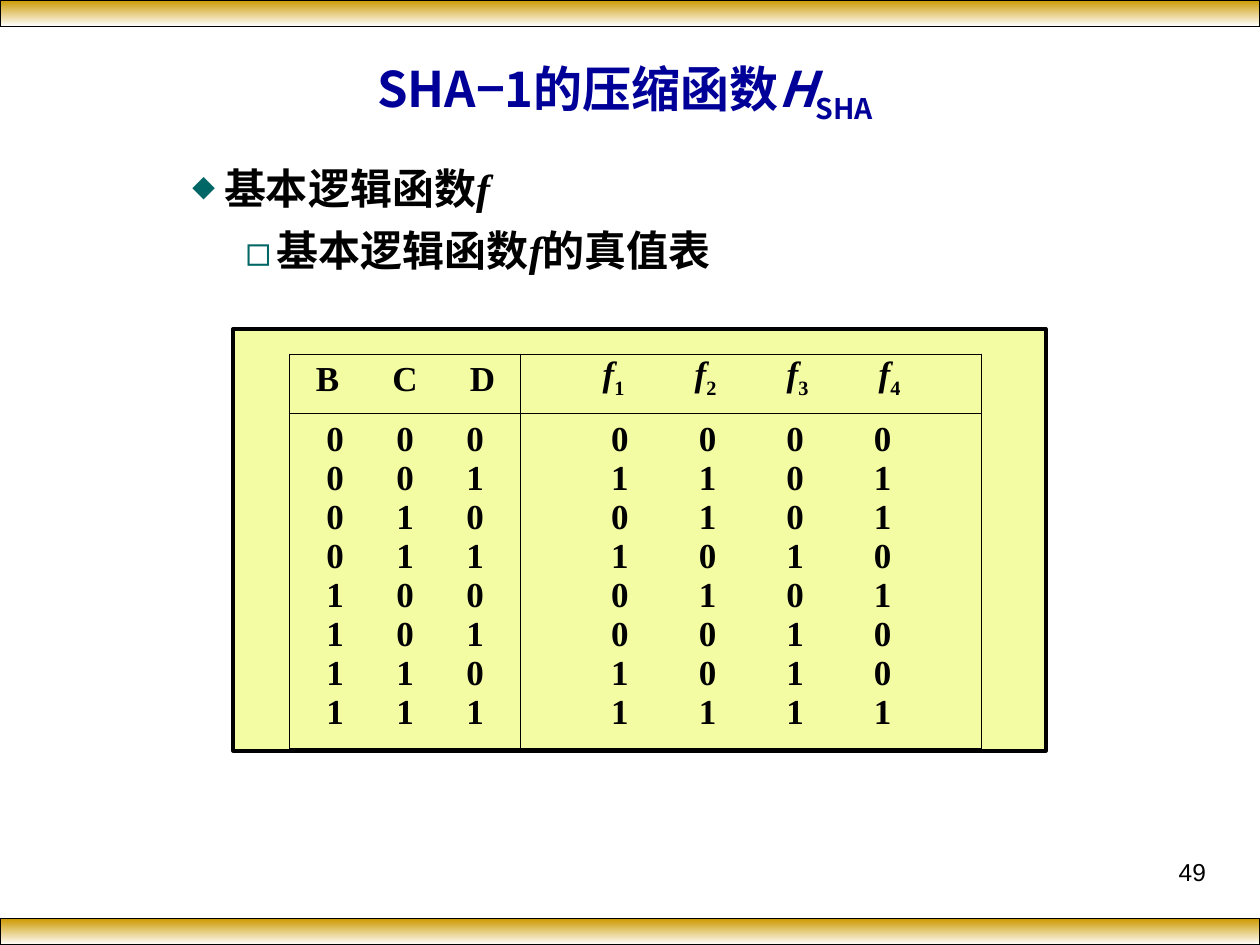
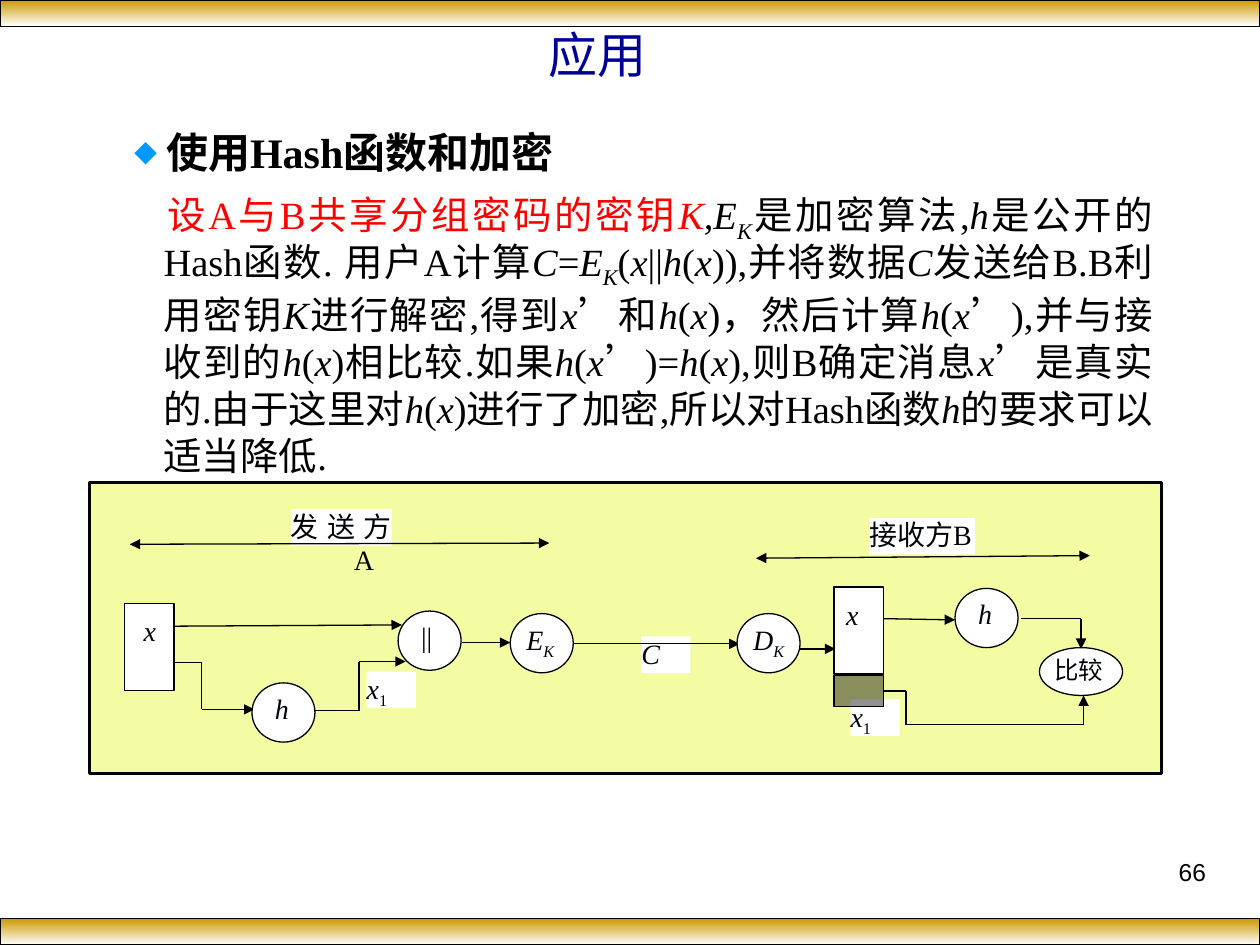
from dataclasses import dataclass
from itertools import pairwise, product

from lxml.etree import SubElement
from pptx import Presentation
from pptx.dml.color import RGBColor
from pptx.enum.shapes import MSO_CONNECTOR as Link, MSO_SHAPE as Shape
from pptx.enum.text import MSO_ANCHOR as Anchor, PP_ALIGN as Align
from pptx.oxml.ns import qn
from pptx.util import Inches, Pt


@dataclass(frozen=True)
class Theme:
    gold: str = "CC9900"
    white: str = "FFFFFF"
    black: str = "000000"
    ink: str = "000408"
    navy: str = "000099"
    teal: str = "006666"
    sky: str = "0099FF"
    red: str = "FF0000"
    panel: str = "F3FBA3"
    serif: str = "Times New Roman"
    cjk: str = "Noto Sans CJK SC"
    sans: str = "Arial"
    title: int = 28
    body: int = 24
    detail: int = 22
    table: int = 20
    label: int = 16
    small: int = 14
    hairline: float = 0.45
    thin: float = 0.75
    thick: float = 2


T = Theme()
COLS, ROWS = 100, 75
CELL = Inches(0.1)
BAND_ROWS = 2.1


def grid(*cells):
    return [round(c * CELL) for c in cells]


def rgb(code):
    return RGBColor.from_string(code)


def add_runs(p, markup, size, color=T.black, font=T.serif, bold=False):
    for i, part in enumerate(markup.split("*")):
        for j, text in enumerate(part.split("~")):
            if not text:
                continue
            r = p.add_run()
            r.text = text
            f = r.font
            f.name, f.size, f.bold, f.italic = font, Pt(size), bold, i % 2 == 1
            f.color.rgb = rgb(color)
            SubElement(r._r.rPr, qn("a:ea")).set("typeface", T.cjk)
            if j % 2:
                r._r.rPr.set("baseline", "-25000")


def set_indent(p, left, first):
    pPr = p._p.get_or_add_pPr()
    pPr.set("marL", str(grid(left)[0]))
    pPr.set("indent", str(grid(first)[0]))


def add_bullet(p, char, color, percent=55):
    pPr = p._p.get_or_add_pPr()
    clr = SubElement(pPr, qn("a:buClr"))
    SubElement(clr, qn("a:srgbClr")).set("val", color)
    SubElement(pPr, qn("a:buSzPct")).set("val", str(percent * 1000))
    SubElement(pPr, qn("a:buFont")).set("typeface", T.cjk)
    SubElement(pPr, qn("a:buChar")).set("char", char)


def add_tabs(p, first, step, count):
    tabs = SubElement(p._p.get_or_add_pPr(), qn("a:tabLst"))
    for k in range(count):
        tab = SubElement(tabs, qn("a:tab"))
        tab.set("pos", str(grid(first + k * step)[0]))
        tab.set("algn", "ctr")


def add_text(slide, at, anchor=Anchor.TOP):
    tf = slide.shapes.add_textbox(*grid(*at)).text_frame
    tf.word_wrap = True
    tf.vertical_anchor = anchor
    return tf


def add_box(slide, at, fill, kind=Shape.RECTANGLE, line=T.thin):
    sp = slide.shapes.add_shape(kind, *grid(*at))
    sp.shadow.inherit = False
    sp.fill.solid()
    sp.fill.fore_color.rgb = rgb(fill)
    if line:
        sp.line.color.rgb = rgb(T.black)
        sp.line.width = Pt(line)
    else:
        sp.line.fill.background()
    return sp


def add_label(slide, at, markup, kind=Shape.RECTANGLE, line=None, lead=0,
              inset=(0, 0), size=T.label):
    sp = add_box(slide, at, T.white, kind, line)
    tf = sp.text_frame
    tf.word_wrap = True
    tf.vertical_anchor = Anchor.TOP
    tf.margin_left = tf.margin_right = grid(inset[0])[0]
    tf.margin_top, tf.margin_bottom = grid(inset[1])[0], 0
    p = tf.paragraphs[0]
    p.alignment = Align.JUSTIFY
    set_indent(p, 5, lead - 5)
    add_runs(p, markup, size, T.ink)


def add_circle(slide, x, y, markup, lead):
    add_label(slide, (x, y, 5, 4.7), markup, Shape.OVAL, T.thin, lead)


def add_message(slide, x, y, lead):
    add_label(slide, (x, y, 3.9, 6.9), "*x*", line=T.thin, lead=lead,
              inset=(0.4, 0.8))


def add_line(slide, start, end, head=False, tail=False):
    c = slide.shapes.add_connector(Link.STRAIGHT, *grid(*start, *end))
    c.line.color.rgb = rgb(T.black)
    c.line.width = Pt(T.thin)
    ln = c.line._get_or_add_ln()
    for tag, wanted in (("a:headEnd", head), ("a:tailEnd", tail)):
        if wanted:
            SubElement(ln, qn(tag)).set("type", "triangle")
    SubElement(c._element.spPr, qn("a:effectLst"))
    return c


def add_route(slide, points, arrow=True):
    legs = list(pairwise(points))
    return [add_line(slide, a, b, tail=arrow and k == len(legs) - 1)
            for k, (a, b) in enumerate(legs)]


def add_frame(slide, number):
    for top in (0, ROWS - BAND_ROWS):
        band = add_box(slide, (0, top, COLS, BAND_ROWS), T.gold)
        band.fill.gradient()
        band.fill.gradient_angle = 270
        for stop, color, pos in zip(band.fill.gradient_stops,
                                    (T.gold, T.white), (0, 1)):
            stop.color.rgb = rgb(color)
            stop.position = pos
    p = add_text(slide, (71.7, 67.5, 25, 5.2)).paragraphs[0]
    p.alignment = Align.RIGHT
    add_runs(p, number, T.small, font=T.sans)


def add_title(slide, at, markup, font, bold=False):
    p = add_text(slide, at, Anchor.MIDDLE).paragraphs[0]
    p.alignment = Align.CENTER
    add_runs(p, markup, T.title, T.navy, font, bold)


def border_cell(cell):
    tcPr = cell._tc.get_or_add_tcPr()
    for side in ("L", "R", "T", "B"):
        ln = SubElement(tcPr, qn(f"a:ln{side}"))
        ln.set("w", str(Pt(T.hairline)))
        fill = SubElement(ln, qn("a:solidFill"))
        SubElement(fill, qn("a:srgbClr")).set("val", T.black)
    cell.fill.background()


def fill_cell(cell, lines, first, step):
    border_cell(cell)
    tf = cell.text_frame
    for k, entries in enumerate(lines):
        p = tf.add_paragraph() if k else tf.paragraphs[0]
        p.line_spacing = Pt(22.3)
        add_tabs(p, first, step, len(entries))
        add_runs(p, "".join(f"\t{e}" for e in entries), T.table, bold=True)


def logic_functions(b, c, d):
    choose = d if not b else c
    parity = b ^ c ^ d
    majority = int(b + c + d > 1)
    return choose, parity, majority, parity


def add_truth_table(slide):
    inputs = list(product((0, 1), repeat=3))
    frame = slide.shapes.add_table(2, 2, *grid(23, 28.1, 54.9, 31.3))
    table = frame.table
    table.first_row = table.horz_banding = False
    for col, width in zip(table.columns, grid(18.3, 36.6)):
        col.width = width
    for row, height in zip(table.rows, grid(4.7, 26.6)):
        row.height = height
    fill_cell(table.cell(0, 0), ["BCD"], 2, 6.15)
    fill_cell(table.cell(0, 1), [[f"*f*~{n}~" for n in range(1, 5)]], 6.4, 7.3)
    fill_cell(table.cell(1, 0), inputs, 2.6, 5.55)
    fill_cell(table.cell(1, 1), [logic_functions(*bits) for bits in inputs],
              6.9, 6.95)


def build_truth_slide(slide):
    add_frame(slide, "49")
    add_box(slide, (18.5, 26.1, 64.5, 33.5), T.panel, line=T.thick)
    add_title(slide, (2.9, 4.2, 93.4, 6.2), "SHA−1的压缩函数*H*~SHA~",
              T.cjk, True)
    tf = add_text(slide, (8.5, 12.3, 74.4, 9.8))
    items = (("基本逻辑函数*f*", "◆", 55, 8.3, -2.5),
             ("基本逻辑函数*f*的真值表", "◻", 100, 12.5, -2.5))
    for k, (markup, char, percent, left, hang) in enumerate(items):
        p = tf.add_paragraph() if k else tf.paragraphs[0]
        p.line_spacing = Pt(29.4)
        if k:
            p.space_before = Pt(6)
        set_indent(p, left, hang)
        add_bullet(p, char, T.teal, percent)
        add_runs(p, markup, T.body, bold=True)
    add_truth_table(slide)


def add_explanation(slide):
    tf = add_text(slide, (3.9, 9.5, 88.6, 29.1))
    p = tf.paragraphs[0]
    p.line_spacing = Pt(29.4)
    set_indent(p, 8.3, -2.5)
    add_bullet(p, "◆", T.sky)
    add_runs(p, "使用Hash函数和加密", T.body, bold=True)
    p = tf.add_paragraph()
    p.alignment = Align.JUSTIFY
    p.line_spacing = Pt(26.8)
    p.space_before = Pt(11)
    set_indent(p, 8.1, 0.3)
    add_runs(p, "设A与B共享分组密码的密钥*K*", T.detail, T.red)
    add_runs(p, "*,E~K~*是加密算法,*h*是公开的Hash函数. 用户A计算*C*=*E~K~*"
                "(*x*||*h*(*x*)),并将数据*C*发送给B.B利用密钥*K*进行解密,得到"
                "*x*’和*h*(*x*)，然后计算*h*(*x*’),并与接收到的*h*(*x*)相比较."
                "如果*h*(*x*’)=*h*(*x*),则B确定消息*x*’是真实的.由于这里对"
                "*h*(*x*)进行了加密,所以对Hash函数*h*的要求可以适当降低.",
             T.detail)


def add_protocol_diagram(slide):
    add_box(slide, (7.1, 38.3, 85.1, 23.1), T.panel, line=T.thick)
    for x, y, w, markup in ((50.9, 50.5, 3.9, "*C*"),
                            (23.1, 40.4, 8, "发送方A"),
                            (69, 41.1, 8.4, "接收方B"),
                            (67.5, 55.5, 3.9, "*x*~1~"),
                            (29.1, 53.3, 3.9, "*x*~1~")):
        add_label(slide, (x, y, w, 2.9), markup)

    for start, end in (((10.3, 43.2), (43.6, 43.1)),
                       ((60, 44.3), (86.5, 44.1))):
        add_line(slide, start, end, head=True, tail=True)
    for points in (
        [(13.8, 49.7), (31.9, 49.6)],
        [(13.8, 52.6), (16, 52.6), (16, 56.3), (20.2, 56.3)],
        [(24.3, 56.4), (28.5, 56.4), (28.5, 52.5), (32.2, 52.5)],
        [(36.7, 51), (40.5, 51)],
        [(45.4, 51.1), (58.7, 51.1)],
        [(62, 51.5), (66.3, 51.5)],
        [(70.1, 49.1), (75.8, 49.2)],
        [(81, 49.1), (85.8, 49.1), (85.8, 51.5)],
    ):
        add_route(slide, points)

    digest = add_box(slide, (66.2, 53.6, 3.9, 2.5), T.black)
    color = digest._element.spPr.find(".//" + qn("a:srgbClr"))
    SubElement(color, qn("a:alpha")).set("val", "43000")
    legs = add_route(slide, [(70.1, 54.85), (71.9, 54.85), (71.9, 57.5),
                             (86, 57.5), (86, 55.2)])
    legs[0].begin_connect(digest, 3)

    add_label(slide, (82.5, 51.4, 6.6, 3.8), "比较", Shape.OVAL, T.thin,
              inset=(0.2, 0), size=T.small)
    add_message(slide, 9.9, 47.9, 1.1)
    add_message(slide, 66.2, 46.6, 0.55)
    for x, y, markup, lead in ((20, 54.2, "*h*", 1.1),
                               (40.5, 48.7, "*E~K~*", 0.55),
                               (31.6, 48.5, "||", 1.1),
                               (58.5, 48.7, "*D~K~*", 0.55),
                               (75.8, 46.7, "*h*", 1.1)):
        add_circle(slide, x, y, markup, lead)


def build_application_slide(slide):
    add_frame(slide, "66")
    add_title(slide, (3.8, 1.6, 87.3, 5.4), "应用", T.serif)
    add_explanation(slide)
    add_protocol_diagram(slide)


def main():
    prs = Presentation()
    prs.slide_width, prs.slide_height = COLS * CELL, ROWS * CELL
    blank = prs.slide_layouts[6]
    for build in (build_truth_slide, build_application_slide):
        build(prs.slides.add_slide(blank))
    prs.save("out.pptx")


if __name__ == "__main__":
    main()
